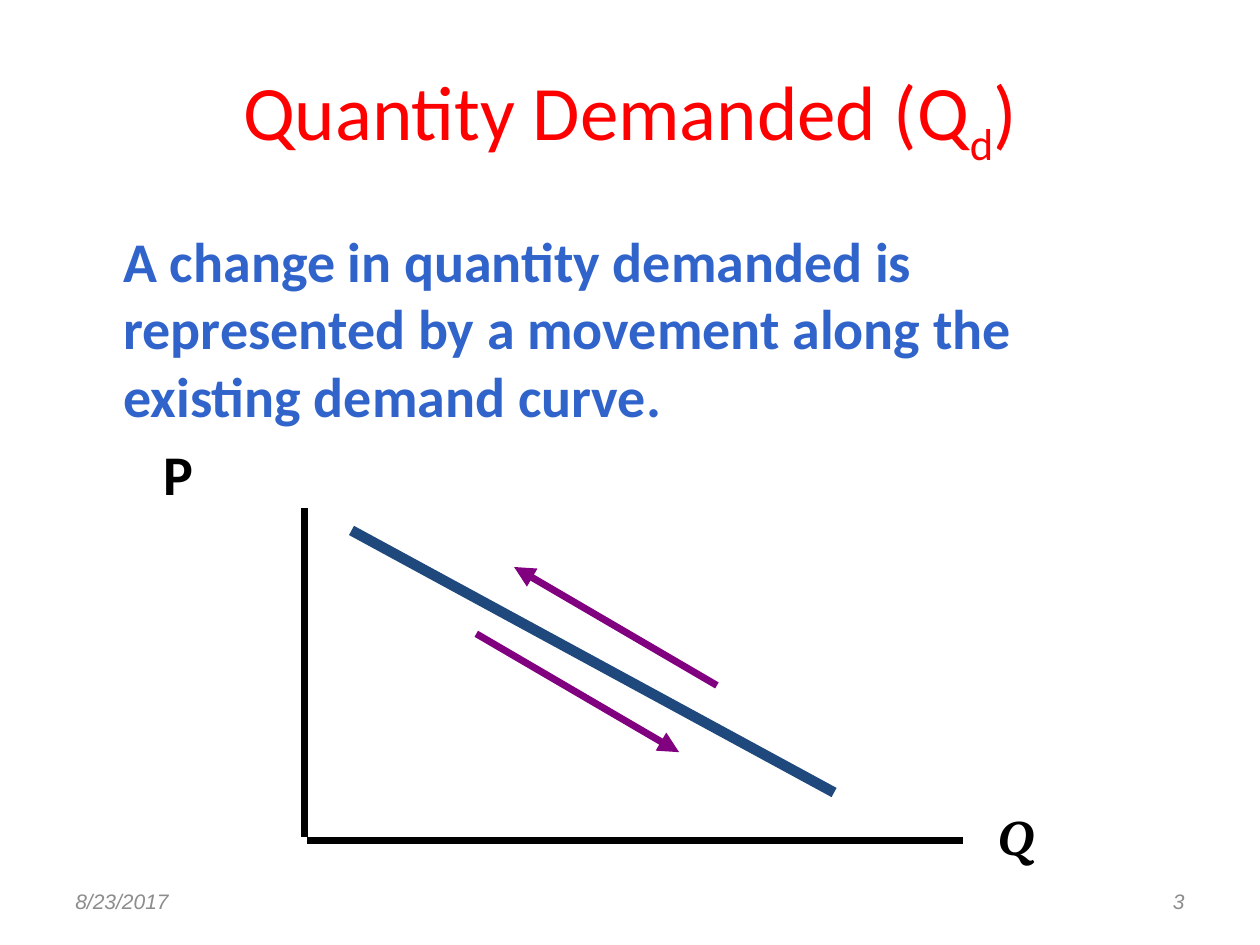
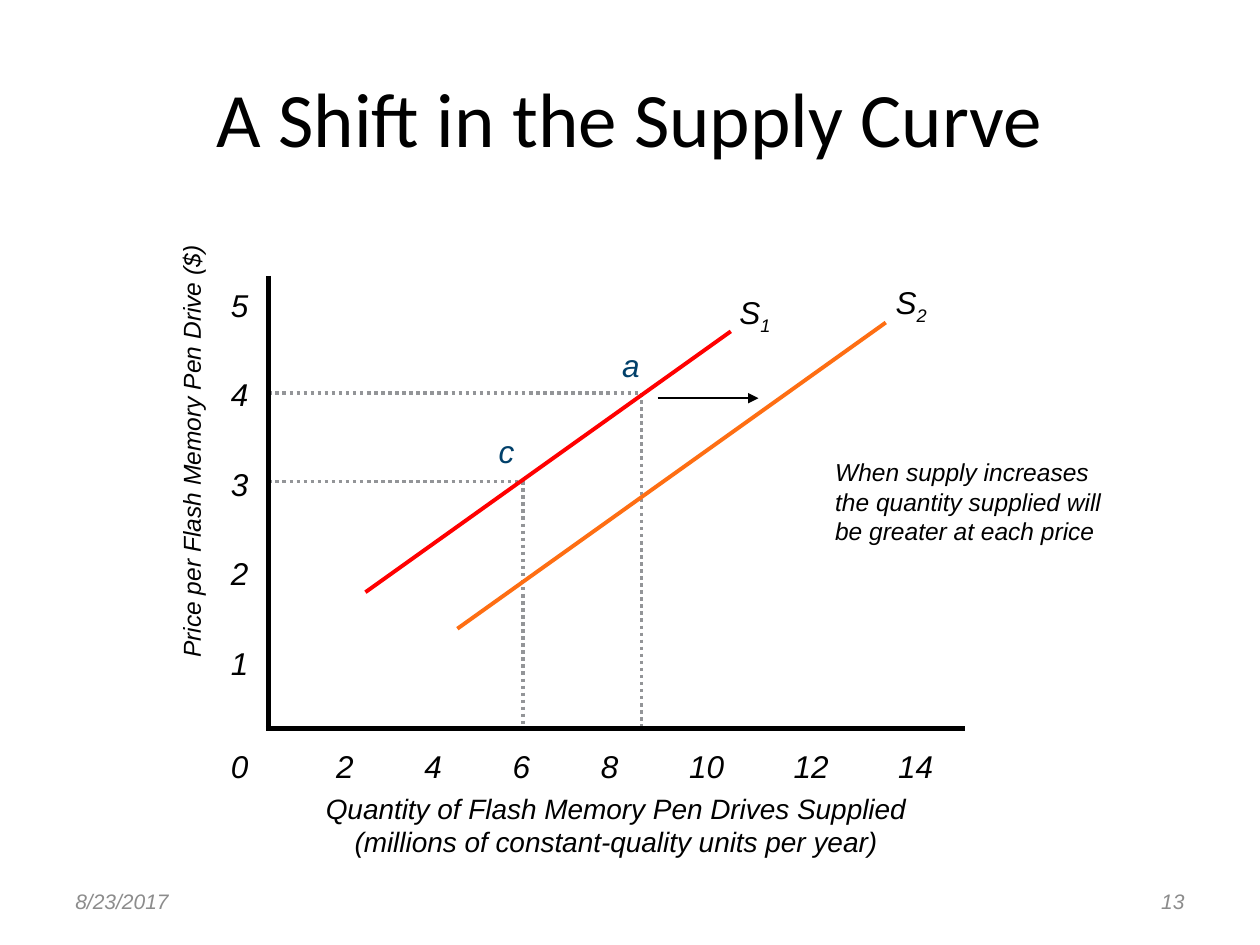
from lxml.etree import SubElement
from pptx import Presentation
from pptx.dml.color import RGBColor
from pptx.enum.dml import MSO_LINE as Dash
from pptx.enum.shapes import MSO_CONNECTOR as Connector, MSO_SHAPE as Shape
from pptx.enum.text import MSO_ANCHOR as Anchor, PP_ALIGN as Align
from pptx.oxml.ns import qn
from pptx.util import Inches, Pt

COLORS = {
    "black": "000000", "white": "FFFFFF", "red": "FF0000", "blue": "3164CB",
    "navy": "1F497D", "purple": "800080", "gray": "8C8C8C", "guide": "939598",
    "orange": "FE6E13", "point": "01406A",
}
LABEL = {"name": "Arial", "size": Pt(18), "italic": True}
NOTE = {**LABEL, "size": Pt(14)}
CAPTION = {**LABEL, "size": Pt(16)}
FOOTER = {**LABEL, "size": Pt(12)}
TITLE = {"name": "Calibri", "size": Pt(44), "bold": False}
STATEMENT = {"name": "Calibri", "size": Pt(32), "bold": True}
AXIS_LETTER = {"name": "Vollkorn", "size": Pt(28), "bold": True, "italic": True}


def rgb(color):
    return RGBColor.from_string(COLORS[color])


def place(box, left, top, width, height):
    box.left, box.top = Inches(left), Inches(top)
    box.width, box.height = Inches(width), Inches(height)


def add_span(para, text, style, color, subscript=False):
    span = para.add_run()
    span.text = text
    for name, value in style.items():
        setattr(span.font, name, value)
    span.font.color.rgb = rgb(color)
    if subscript:
        span.font._element.set("baseline", "-25000")


def write(para, spans, style, color="black", align=Align.LEFT):
    para.alignment = align
    for position, text in enumerate(spans):
        add_span(para, text, style, color, subscript=position == 1)


def add_text(slide, at, lines, style, color="black", align=Align.LEFT,
             wrap=True, anchor=Anchor.TOP):
    box = slide.shapes.add_textbox(*map(Inches, at))
    frame = box.text_frame
    frame.word_wrap = wrap
    frame.vertical_anchor = anchor
    for position, spans in enumerate(lines):
        para = frame.paragraphs[0] if position == 0 else frame.add_paragraph()
        write(para, spans, style, color, align)
    return box


def add_line(slide, start, end, color, width, dash=None, arrow=False):
    line = slide.shapes.add_connector(Connector.STRAIGHT, *map(Inches, start + end))
    line.line.color.rgb = rgb(color)
    line.line.width = Pt(width)
    if dash:
        line.line.dash_style = dash
    if arrow:
        SubElement(line.line._get_or_add_ln(), qn("a:tailEnd"), type="triangle")
    SubElement(line._element.spPr, qn("a:effectLst"))


def add_slide(deck, title_spans, title_color, number):
    slide = deck.slides.add_slide(deck.slide_layouts[5])
    title = slide.shapes.title
    place(title, 0.5, 0.3, 9, 1.25)
    title.text_frame.vertical_anchor = Anchor.MIDDLE
    write(title.text_frame.paragraphs[0], title_spans, TITLE, title_color, Align.CENTER)
    for left, text, align in ((0.5, "8/23/2017", Align.LEFT), (7.17, number, Align.RIGHT)):
        add_text(slide, (left, 6.95, 2.33, 0.4), [[text]], FOOTER, "gray", align,
                 anchor=Anchor.MIDDLE)
    return slide


def add_tick(slide, left, top, text, align=Align.LEFT):
    width = 0.2 + 0.14 * len(text)
    add_text(slide, (left, top, width, 0.4), [[text]], LABEL, align=align, wrap=False)


def add_note(slide, at, text):
    box = slide.shapes.add_shape(Shape.RECTANGLE, *map(Inches, at))
    box.shadow.inherit = False
    box.fill.solid()
    box.fill.fore_color.rgb = rgb("white")
    box.line.fill.background()
    box.text_frame.word_wrap = True
    box.text_frame.vertical_anchor = Anchor.TOP
    write(box.text_frame.paragraphs[0], [text], NOTE)


def build_quantity_demanded(deck):
    slide = add_slide(deck, ["Quantity Demanded (Q", "d", ")"], "red", "3")
    statement = add_text(
        slide, (0.5, 1.75, 9, 4.95),
        [["A change in quantity demanded is represented by a movement along "
          "the existing demand curve."]], STATEMENT, "blue")
    statement.text_frame.margin_left = Inches(0.48)
    price = statement.text_frame.add_paragraph()
    price.space_before = Pt(6.4)
    price._p.get_or_add_pPr().set("indent", str(Inches(0.32)))
    write(price, ["P"], STATEMENT)

    add_line(slide, (2.42, 4.03), (2.42, 6.64), "black", 4)
    add_line(slide, (2.44, 6.67), (7.64, 6.67), "black", 4)
    add_line(slide, (2.79, 4.21), (6.62, 6.29), "navy", 6)
    add_text(slide, (7.82, 6.35, 0.52, 0.56), [["Q"]], AXIS_LETTER, wrap=False)
    add_line(slide, (5.69, 5.44), (4.08, 4.5), "purple", 4, arrow=True)
    add_line(slide, (3.78, 5.03), (5.39, 5.97), "purple", 4, arrow=True)


def build_supply_shift(deck):
    slide = add_slide(deck, ["A Shift in the Supply Curve"], "black", "13")
    axis_left, axis_bottom = 2.13, 5.78
    for name, x, y, label_left, label_top in (("c", 4.15, 3.82, 3.86, 3.38),
                                              ("a", 5.09, 3.12, 4.84, 2.7)):
        add_line(slide, (axis_left, y), (x, y), "guide", 2, Dash.ROUND_DOT)
        add_line(slide, (x, y), (x, axis_bottom), "guide", 2, Dash.ROUND_DOT)
        add_text(slide, (label_left, label_top, 0.34, 0.4), [[name]], LABEL, "point",
                 wrap=False)

    add_line(slide, (axis_left, 2.19), (axis_left, 5.79), "black", 3)
    add_line(slide, (2.11, axis_bottom), (7.66, axis_bottom), "black", 3)
    add_tick(slide, 1.73, 5.88, "0", Align.RIGHT)
    for price in range(1, 6):
        add_tick(slide, 1.73, 2.22 + 0.71 * (5 - price), str(price), Align.RIGHT)
    for step in range(7):
        left = 2.57 + 0.7 * step + 0.13 * max(0, step - 4)
        add_tick(slide, left, 5.88, str(2 * step + 2))

    add_text(slide, (2.09, 6.23, 5.6, 0.63),
             [["Quantity of Flash Memory Pen Drives Supplied"],
              ["(millions of constant-quality units per year)"]],
             CAPTION, align=Align.CENTER)
    price_caption = add_text(slide, (-0.31, 3.42, 3.65, 0.33),
                             [["Price per Flash Memory Pen Drive ($)"]],
                             NOTE, align=Align.CENTER)
    price_caption.rotation = 270

    for number, start, end, color, left, top in (
            ("1", (5.8, 2.63), (2.9, 4.7), "red", 5.77, 2.28),
            ("2", (7.03, 2.56), (3.63, 4.99), "orange", 7.01, 2.2)):
        add_line(slide, start, end, color, 2.25)
        add_text(slide, (left, top, 0.47, 0.4), [["S", number]], LABEL)
    add_note(slide, (6.53, 3.58, 2.34, 0.8),
             "When supply increases the quantity supplied will be greater at each price")
    add_line(slide, (5.22, 3.16), (6.02, 3.16), "black", 1.5, arrow=True)


def main():
    deck = Presentation()
    deck.slide_width, deck.slide_height = Inches(10), Inches(7.5)
    build_quantity_demanded(deck)
    build_supply_shift(deck)
    deck.save("out.pptx")


if __name__ == "__main__":
    main()
